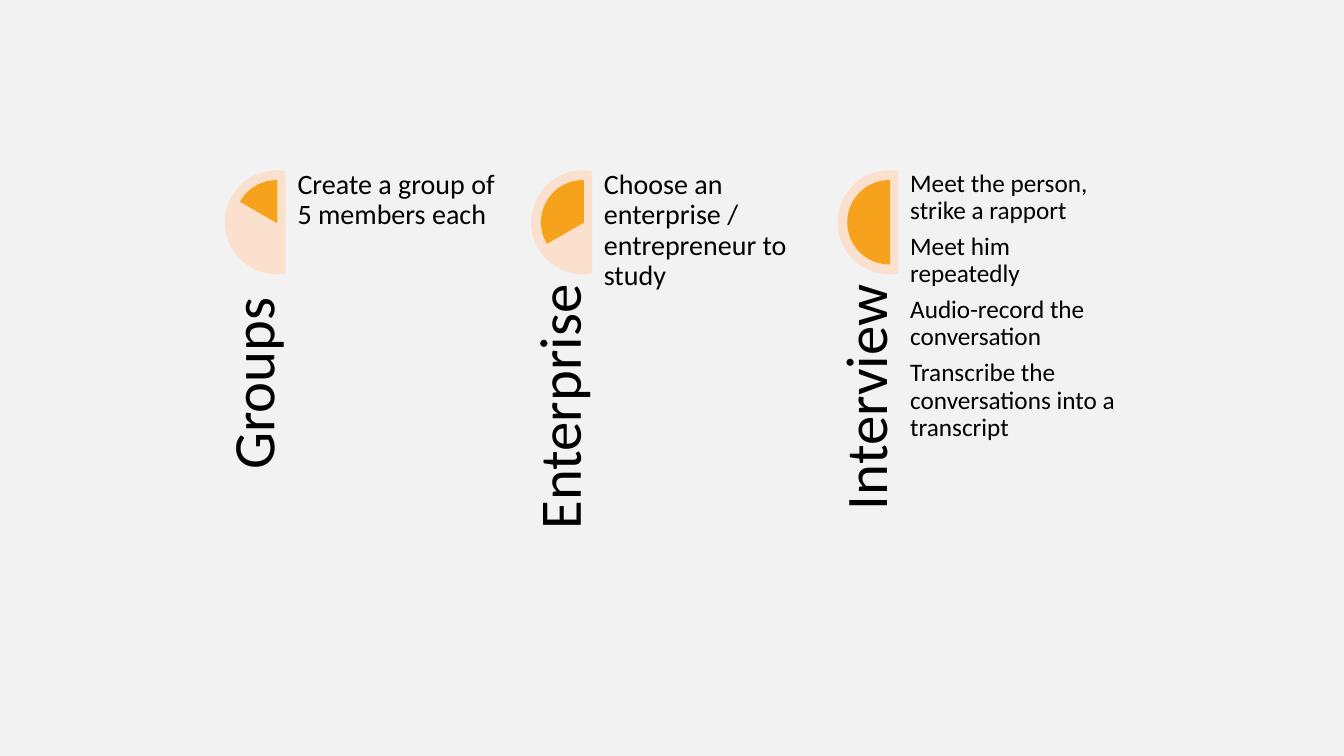
from dataclasses import dataclass

from pptx import Presentation
from pptx.dml.color import RGBColor
from pptx.enum.shapes import MSO_SHAPE as Preset
from pptx.enum.text import MSO_ANCHOR as Anchor, PP_ALIGN as Align
from pptx.shapes.autoshape import Shape
from pptx.slide import Slide
from pptx.util import Inches, Pt


@dataclass(frozen=True)
class Theme:
    """Colours, font and type sizes of the slide."""

    background: RGBColor = RGBColor.from_string("F2F2F2")
    disc: RGBColor = RGBColor.from_string("FBE0CD")
    wedge: RGBColor = RGBColor.from_string("F6A21D")
    text: RGBColor = RGBColor.from_string("000000")
    font: str = "Calibri"
    label_size: int = 42
    line_spacing: float = 0.9
    space_after: float = 0.35  # share of the type size


@dataclass(frozen=True)
class Box:
    """A rectangle in grid units, measured from a step's top left corner."""

    left: float
    top: float
    width: float
    height: float


@dataclass(frozen=True)
class Step:
    """One step: its vertical label, its details and their type size."""

    label: str
    details: tuple[str, ...]
    size: int


THEME = Theme()

# One grid unit is the diameter of a disc; lengths below are in inches.
UNIT = 1.03
GRID_LEFT, GRID_TOP = 2.23, 1.69
STEP_PITCH = 2.95  # grid units

DISC = Box(0, 0, 1, 1)
WEDGE = Box(0.1, 0.1, 0.8, 0.8)
LABEL = Box(0, 1.1, 0.6, 2.9)
DETAILS = Box(0.7, 0, 2, 4)

DISC_ANGLES = (80, 280)
WEDGE_END = 270
WEDGE_SWEEP = 60  # degrees added with each step
DEGREE = 0.6  # adjustment value of one degree

STEPS = (
    Step("Groups ", ("Create a group of 5 members each",), 20),
    Step("Enterprise", ("Choose an enterprise / entrepreneur to study",), 20),
    Step(
        "Interview",
        (
            "Meet the person, strike a rapport",
            "Meet him repeatedly",
            "Audio-record the conversation",
            "Transcribe the conversations into a transcript",
        ),
        18,
    ),
)


def place(box: Box, column: int) -> tuple[Inches, Inches, Inches, Inches]:
    """Turn a box of the given column into slide lengths."""
    left = GRID_LEFT + (column * STEP_PITCH + box.left) * UNIT
    top = GRID_TOP + box.top * UNIT
    return Inches(left), Inches(top), Inches(box.width * UNIT), Inches(box.height * UNIT)


def turned(box: Box) -> Box:
    """Swap width and height around the centre, ready for a quarter turn."""
    shift = (box.width - box.height) / 2
    return Box(box.left + shift, box.top - shift, box.height, box.width)


def add_arc(slide: Slide, preset: Preset, box: Box, column: int,
            angles: tuple[int, int], color: RGBColor) -> Shape:
    """Add a filled chord or pie without an outline between two angles."""
    shape = slide.shapes.add_shape(preset, *place(box, column))
    shape.shadow.inherit = False
    for index, angle in enumerate(angles):
        shape.adjustments[index] = angle * DEGREE
    shape.fill.solid()
    shape.fill.fore_color.rgb = color
    shape.line.fill.background()
    return shape


def add_text(slide: Slide, box: Box, column: int, lines: tuple[str, ...],
             size: int, align: Align = Align.LEFT, anchor: Anchor = Anchor.TOP) -> Shape:
    """Add a wrapped text box without margins, one paragraph a line."""
    shape = slide.shapes.add_textbox(*place(box, column))
    frame = shape.text_frame
    frame.word_wrap = True
    frame.vertical_anchor = anchor
    frame.margin_left = frame.margin_right = frame.margin_top = frame.margin_bottom = 0
    frame.text = "\n".join(lines)
    for paragraph in frame.paragraphs:
        paragraph.alignment = align
        paragraph.line_spacing = THEME.line_spacing
        paragraph.space_after = Pt(size * THEME.space_after)
        paragraph.font.name = THEME.font
        paragraph.font.size = Pt(size)
        paragraph.font.color.rgb = THEME.text
    return shape


def add_step(slide: Slide, column: int, step: Step) -> None:
    """Draw the disc, growing wedge, vertical label and details of a step."""
    add_arc(slide, Preset.CHORD, DISC, column, DISC_ANGLES, THEME.disc)
    wedge_start = WEDGE_END - WEDGE_SWEEP * (column + 1)
    wedge = add_arc(slide, Preset.PIE, WEDGE, column, (wedge_start, WEDGE_END), THEME.wedge)
    wedge.line.color.rgb = THEME.wedge
    wedge.line.width = Pt(1)
    label = add_text(slide, turned(LABEL), column, (step.label,), THEME.label_size,
                     Align.RIGHT, Anchor.BOTTOM)
    label.rotation = 270
    add_text(slide, DETAILS, column, step.details, step.size)


def main() -> None:
    """Build and save the presentation."""
    presentation = Presentation()
    presentation.slide_width = Inches(13.33)
    presentation.slide_height = Inches(7.5)
    slide = presentation.slides.add_slide(presentation.slide_layouts[6])
    slide.background.fill.solid()
    slide.background.fill.fore_color.rgb = THEME.background
    for column, step in enumerate(STEPS):
        add_step(slide, column, step)
    presentation.save("out.pptx")


main()
